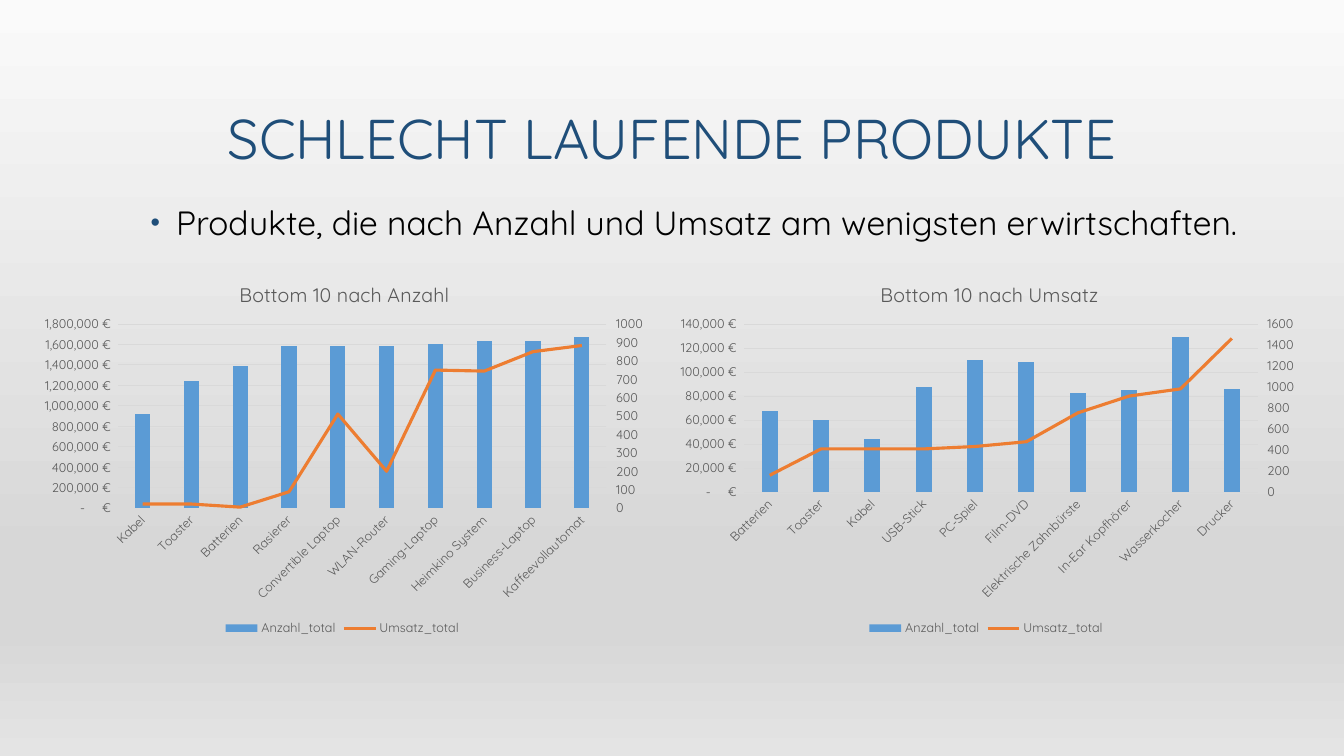
from copy import deepcopy

from pptx import Presentation
from pptx.chart.data import CategoryChartData
from pptx.dml.color import RGBColor
from pptx.enum.chart import (XL_CHART_TYPE, XL_LEGEND_POSITION, XL_MARKER_STYLE,
                             XL_TICK_MARK)
from pptx.enum.shapes import MSO_SHAPE
from pptx.enum.text import MSO_ANCHOR, PP_ALIGN
from pptx.oxml import parse_xml
from pptx.oxml.ns import nsdecls, qn
from pptx.util import Cm, Pt

COLUMNS = XL_CHART_TYPE.COLUMN_CLUSTERED
BOTTOM = XL_LEGEND_POSITION.BOTTOM
NO_MARKER = XL_MARKER_STYLE.NONE
NO_TICK = XL_TICK_MARK.NONE
RECTANGLE = MSO_SHAPE.RECTANGLE
CENTER, LEFT = PP_ALIGN.CENTER, PP_ALIGN.LEFT
ANCHOR_BOTTOM, ANCHOR_TOP = MSO_ANCHOR.BOTTOM, MSO_ANCHOR.TOP

WIDTH, HEIGHT = 33.87, 19.05
EURO = '_-* #,##0\\ "€"_-;\\-* #,##0\\ "€"_-;_-* "-"??\\ "€"_-;_-@_-'
BACKGROUND_STOPS = [(0, "FAFAFA"), (74, "D7D7D7"), (83, "D7D7D7"), (100, "E4E4E4")]

CHARTS = [
    dict(title="Bottom 10 nach Anzahl", left=0.74, width=15.77,
         plot=(0.142, 0.173, 0.78, 0.482),
         euro_axis=(1800000, 200000), count_axis=(1000, 100),
         products=["Kabel", "Toaster", "Batterien", "Rasierer", "Convertible Laptop",
                   "WLAN-Router", "Gaming-Laptop", "Heimkino System",
                   "Business-Laptop", "Kaffeevollautomat"],
         counts=[510, 690, 770, 880, 880, 880, 890, 910, 910, 930],
         sales=[40000, 40000, 10000, 160000, 920000, 360000, 1350000, 1340000,
                1530000, 1590000]),
    dict(title="Bottom 10 nach Umsatz", left=16.76, width=16.18,
         plot=(0.123, 0.173, 0.8, 0.44),
         euro_axis=(140000, 20000), count_axis=(1600, 200),
         products=["Batterien", "Toaster", "Kabel", "USB-Stick", "PC-Spiel", "Film-DVD",
                   "Elektrische Zahnbürste", "In-Ear Kopfhörer", "Wasserkocher",
                   "Drucker"],
         counts=[770, 690, 510, 1000, 1260, 1240, 940, 970, 1480, 980],
         sales=[14000, 36000, 36000, 36000, 38000, 42000, 66000, 80000, 86000, 128000]),
]


def color(code):
    return RGBColor.from_string(code)


def apply(target, **values):
    for name, value in values.items():
        setattr(target, name, value)


def manual_layout(x, y, size=None):
    """Layout element in fractions of the chart; with a size it is the inner plot."""
    entries = [("xMode", "edge"), ("yMode", "edge"), ("x", x), ("y", y)]
    if size:
        entries.insert(0, ("layoutTarget", "inner"))
        entries += zip("wh", size)
    body = "".join(f'<c:{name} val="{value}"/>' for name, value in entries)
    return parse_xml(f'<c:layout {nsdecls("c")}><c:manualLayout>{body}'
                     '</c:manualLayout></c:layout>')


def replace_layout(parent, layout, before):
    for old in parent.findall(qn("c:layout")):
        parent.remove(old)
    parent.find(qn(before)).addprevious(layout)


class SlideBuilder:
    font = "Quicksand"
    accent, gray, grid = "1F4E79", "595959", "D9D9D9"
    bar_color, line_color = "5B9BD5", "ED7D31"

    def __init__(self, page):
        self.page = page

    def style_font(self, font, size, code):
        apply(font, name=self.font, size=Pt(size), bold=False)
        font.color.rgb = color(code)

    def background(self, stops):
        box = self.page.shapes.add_shape(RECTANGLE, 0, 0, Cm(WIDTH), Cm(HEIGHT))
        box.shadow.inherit = False
        box.line.fill.background()
        steps = "".join(f'<a:gs pos="{percent * 1000}"><a:srgbClr val="{code}"/></a:gs>'
                        for percent, code in stops)
        box._element.spPr.find(qn("a:prstGeom")).addnext(parse_xml(
            f'<a:gradFill {nsdecls("a")} rotWithShape="1"><a:gsLst>{steps}</a:gsLst>'
            '<a:lin ang="5400000" scaled="0"/></a:gradFill>'))

    def text(self, words, place, size, code, anchor=ANCHOR_TOP, align=LEFT):
        frame = self.page.shapes.add_textbox(*map(Cm, place)).text_frame
        apply(frame, word_wrap=True, vertical_anchor=anchor)
        para = frame.paragraphs[0]
        apply(para, alignment=align, line_spacing=0.9)
        span = para.add_run()
        span.text = words
        self.style_font(span.font, size, code)
        return para

    def bullet(self, para):
        properties = para._p.get_or_add_pPr()
        properties.set("marL", str(Cm(0.76)))
        properties.set("indent", str(-Cm(0.64)))
        for mark in (f'<a:buClr {nsdecls("a")}><a:srgbClr val="{self.accent}"/></a:buClr>',
                     f'<a:buSzPct {nsdecls("a")} val="80000"/>',
                     f'<a:buFont {nsdecls("a")} typeface="Arial"/>',
                     f'<a:buChar {nsdecls("a")} char="•"/>'):
            properties.append(parse_xml(mark))

    def combined_chart(self, title, left, width, plot, euro_axis, count_axis,
                       products, counts, sales):
        """Columns on the right axis, a line on the left axis."""
        data = CategoryChartData()
        data.categories = products
        data.add_series("Anzahl_total", counts)
        data.add_series("Umsatz_total", sales)
        chart = self.page.shapes.add_chart(
            COLUMNS, Cm(left), Cm(6.5), Cm(width), Cm(9.63), data).chart
        self.style_font(chart.font, 10, "000000")
        apply(chart, has_title=True, has_legend=True)
        apply(chart.legend, position=BOTTOM, include_in_layout=False)
        self.style_font(chart.legend.font, 9, self.gray)
        heading = chart.chart_title.text_frame
        heading.text = title
        self.style_font(heading.paragraphs[0].runs[0].font, 14, self.gray)
        replace_layout(chart.chart_title._element, manual_layout(0.33, 0.05), "c:overlay")

        self.style_axes(chart, euro_axis)
        self.split_series(chart, count_axis)
        plot_area = chart.plots[0]._element.getparent()
        replace_layout(plot_area, manual_layout(*plot[:2], plot[2:]), "c:barChart")

        columns, curve = chart.plots
        apply(columns, gap_width=219, overlap=-27, vary_by_categories=False)
        fill = columns.series[0].format.fill
        fill.solid()
        fill.fore_color.rgb = color(self.bar_color)
        sales_line = curve.series[0]
        sales_line.smooth = False
        sales_line.marker.style = NO_MARKER
        sales_line.format.line.width = Pt(2.25)
        sales_line.format.line.color.rgb = color(self.line_color)

    def style_axes(self, chart, euro_axis):
        products, euros = chart.category_axis, chart.value_axis
        for axis in (products, euros):
            apply(axis, major_tick_mark=NO_TICK, minor_tick_mark=NO_TICK)
            self.style_font(axis.tick_labels.font, 9, self.gray)
        apply(euros, minimum_scale=0, maximum_scale=euro_axis[0],
              major_unit=euro_axis[1], has_major_gridlines=True)
        apply(euros.tick_labels, number_format=EURO, number_format_is_linked=False)
        euros.format.line.fill.background()
        for line in (euros.major_gridlines.format.line, products.format.line):
            line.width = Pt(0.75)
            line.color.rgb = color(self.grid)
        products._element.find(qn("c:txPr")).find(qn("a:bodyPr")).set("rot", "-2700000")

    def split_series(self, chart, count_axis):
        """Moves the second series to a line and gives the columns their own axes."""
        bars = chart.plots[0]._element
        series = bars.findall(qn("c:ser"))[1]
        for flag in series.findall(qn("c:invertIfNegative")):
            series.remove(flag)
        curve = parse_xml(f'<c:lineChart {nsdecls("c")}><c:grouping val="standard"/>'
                          '<c:varyColors val="0"/></c:lineChart>')
        curve.append(series)
        curve.append(parse_xml(f'<c:marker {nsdecls("c")} val="1"/>'))
        for axis_id, new_id in zip(bars.findall(qn("c:axId")), ("5001", "5002")):
            curve.append(deepcopy(axis_id))
            axis_id.set("val", new_id)
        bars.addnext(curve)

        maximum, step = count_axis
        values = parse_xml(
            f'<c:valAx {nsdecls("c", "a")}><c:axId val="5002"/><c:scaling>'
            f'<c:orientation val="minMax"/><c:max val="{maximum}"/><c:min val="0"/>'
            '</c:scaling><c:delete val="0"/><c:axPos val="r"/>'
            '<c:numFmt formatCode="General" sourceLinked="0"/>'
            '<c:majorTickMark val="out"/><c:minorTickMark val="none"/>'
            '<c:tickLblPos val="nextTo"/><c:spPr><a:ln><a:noFill/></a:ln></c:spPr>'
            '<c:txPr><a:bodyPr/><a:p><a:pPr><a:defRPr sz="900"><a:solidFill>'
            f'<a:srgbClr val="{self.gray}"/></a:solidFill><a:latin typeface="{self.font}"/>'
            '</a:defRPr></a:pPr></a:p></c:txPr><c:crossAx val="5001"/>'
            '<c:crosses val="max"/><c:crossBetween val="between"/>'
            f'<c:majorUnit val="{step}"/></c:valAx>')
        categories = parse_xml(
            f'<c:catAx {nsdecls("c")}><c:axId val="5001"/><c:scaling>'
            '<c:orientation val="minMax"/></c:scaling><c:delete val="1"/>'
            '<c:axPos val="b"/><c:crossAx val="5002"/><c:crosses val="autoZero"/></c:catAx>')
        chart.value_axis._element.addnext(values)
        values.addnext(categories)


def main():
    deck = Presentation()
    apply(deck, slide_width=Cm(WIDTH), slide_height=Cm(HEIGHT))
    builder = SlideBuilder(deck.slides.add_slide(deck.slide_layouts[6]))
    builder.background(BACKGROUND_STOPS)
    builder.text("SCHLECHT LAUFENDE PRODUKTE", (3.39, 0.76, 27.1, 3.68), 40,
                 builder.accent, ANCHOR_BOTTOM, CENTER)
    builder.bullet(builder.text(
        "Produkte, die nach Anzahl und Umsatz am wenigsten erwirtschaften.",
        (3.43, 5.08, 29.69, 12.07), 24, "000000"))
    for chart in CHARTS:
        builder.combined_chart(**chart)
    deck.save("out.pptx")


if __name__ == "__main__":
    main()
